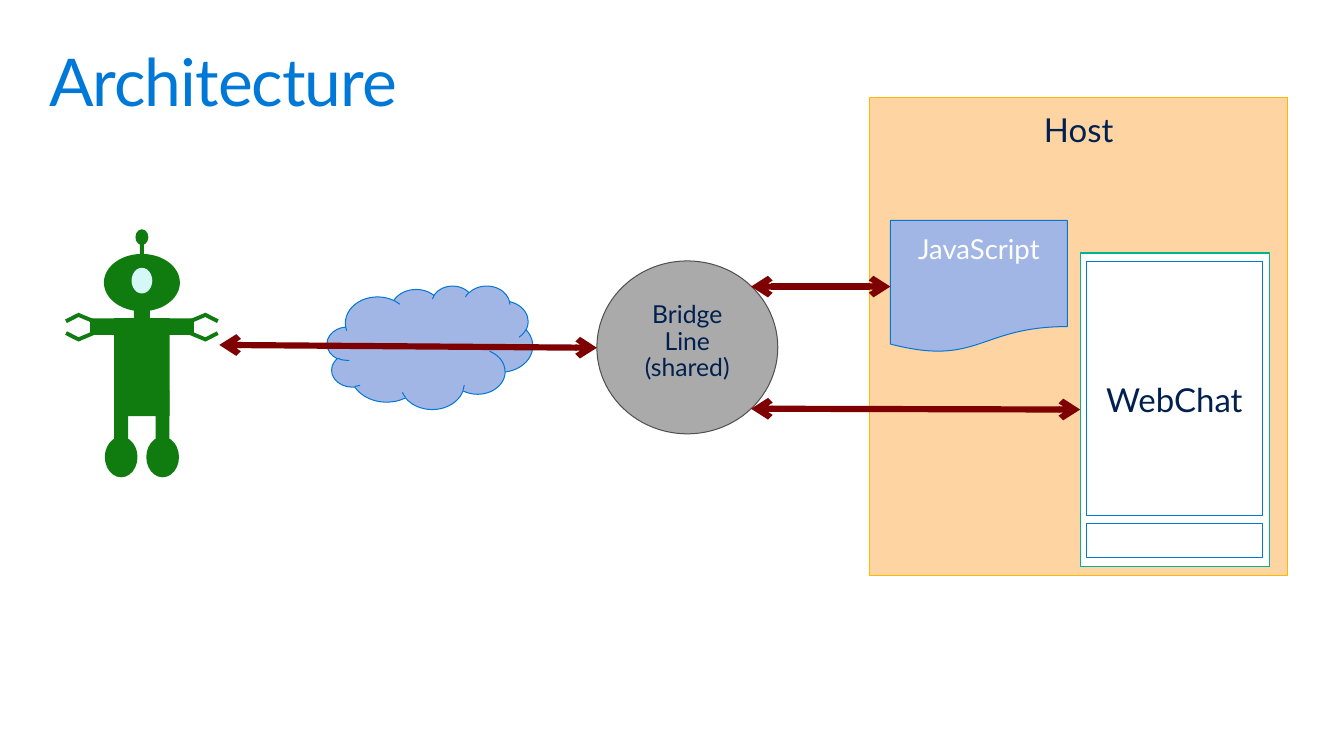
from lxml import etree
from pptx import Presentation
from pptx.dml.color import RGBColor
from pptx.enum import shapes, text
from pptx.oxml import ns
from pptx.util import Pt

FONT = "Lato"
COLORS = {
    "title": "0078D7", "navy": "002050", "white": "FFFFFF",
    "host": "FED5A2", "host_line": "FEB900",
    "gray": "AAAAAA", "gray_line": "505050",
    "pale_blue": "A2B6E5", "blue": "0377D6", "teal": "00B294",
    "robot": "107C10", "eye": "D5F7F6", "arrow": "7E0000",
}
KIND = shapes.MSO_SHAPE


def color(name):
    return RGBColor.from_string(COLORS[name])


def style_paragraph(p, size, name):
    p.line_spacing = 0.9
    p.font.name = FONT
    p.font.size = Pt(size)
    p.font.color.rgb = color(name)


def add_shape(parent, kind, box, fill, line=None, weight=0.75):
    sp = parent.add_shape(kind, *map(Pt, box))
    sp.shadow.inherit = False
    sp.fill.solid()
    sp.fill.fore_color.rgb = color(fill)
    if line:
        sp.line.color.rgb = color(line)
        sp.line.width = Pt(weight)
    else:
        sp.line.fill.background()
    return sp


def add_label(sp, lines, size, name="navy", top=11.5):
    tf = sp.text_frame
    tf.word_wrap = True
    tf.vertical_anchor = text.MSO_ANCHOR.TOP
    tf.margin_left = tf.margin_right = Pt(14.4)
    tf.margin_top, tf.margin_bottom = Pt(top), Pt(11.5)
    tf.text = "\n".join(lines)
    for p in tf.paragraphs:
        p.alignment = text.PP_ALIGN.CENTER
        style_paragraph(p, size, name)


def add_arrow(parent, x1, y1, x2, y2):
    cx = parent.add_connector(shapes.MSO_CONNECTOR.STRAIGHT,
                              Pt(x1), Pt(y1), Pt(x2), Pt(y2))
    cx.line.color.rgb = color("arrow")
    cx.line.width = Pt(4.5)
    ln = cx.line._get_or_add_ln()
    for end in ("a:headEnd", "a:tailEnd"):
        etree.SubElement(ln, ns.qn(end), type="arrow")
    etree.SubElement(cx._element.spPr, ns.qn("a:effectLst"))


def add_title(s, words):
    sp = s.shapes.title
    sp.left, sp.top, sp.width, sp.height = map(Pt, (28.8, 28.8, 921.6, 72))
    tf = sp.text_frame
    tf.vertical_anchor = text.MSO_ANCHOR.TOP
    tf.margin_left = tf.margin_right = tf.margin_top = tf.margin_bottom = Pt(7.2)
    tf.text = words
    p = tf.paragraphs[0]
    p.alignment = text.PP_ALIGN.LEFT
    style_paragraph(p, 48, "title")
    p.runs[0]._r.get_or_add_rPr().set("spc", "-70")


def add_robot(s, axis):
    parts = s.shapes.add_group_shape().shapes

    def part(kind, dx, y, w, h, angle=0, fill="robot"):
        sp = add_shape(parts, kind, (axis + dx - w / 2, y - h / 2, w, h), fill)
        sp.rotation = angle % 360

    # Head, antenna, neck and body lie on the axis
    part(KIND.OVAL, 0, 205.9, 55.4, 41.8)
    part(KIND.OVAL, 0, 172.8, 9.4, 11.5)
    part(KIND.RECTANGLE, 0, 182.2, 2.9, 15.1)
    part(KIND.RECTANGLE, 0, 232.6, 11.5, 37.4)
    part(KIND.RECTANGLE, 0, 267.5, 40.3, 71.3)
    part(KIND.OVAL, 0, 204.5, 15.1, 18.7, fill="eye")

    # Limbs mirror each other; each claw has an upper and a lower finger
    for side in (-1, 1):
        part(KIND.RECTANGLE, side * 22.7, 238, 30.2, 12.2)
        part(KIND.RECTANGLE, side * 15.1, 303.1, 10.1, 37.4)
        part(KIND.OVAL, side * 15.1, 333, 23.8, 29.5)
        for half in (-1, 1):
            y = 238.4 + half * 6.6
            part(KIND.RECTANGLE, side * 40.7, y, 13.7, 2.9, side * half * 22.7)
            part(KIND.RECTANGLE, side * 50.8, y, 10.1, 2.9, -side * half * 27.2)


def add_web_chat(s):
    parts = s.shapes.add_group_shape().shapes
    add_shape(parts, KIND.RECTANGLE, (787, 184.3, 138.2, 228.2), "white", "teal", 0.85)
    chat = add_shape(parts, KIND.RECTANGLE, (791.5, 190.8, 128.2, 185), "white", "blue", 0.85)
    add_label(chat, ["WebChat"], 24, top=89)
    add_shape(parts, KIND.RECTANGLE, (791.5, 381.6, 128.2, 24.5), "white", "blue", 0.85)


def main():
    prs = Presentation()
    prs.slide_width, prs.slide_height = Pt(979.2), Pt(550.8)
    s = prs.slides.add_slide(prs.slide_layouts[5])

    # Host panel and title
    host = add_shape(s.shapes, KIND.RECTANGLE, (633.6, 71.3, 304.6, 347.8),
                     "host", "host_line")
    add_label(host, ["Host"], 24)
    add_title(s, "Architecture")

    # Shared service, chat window, network and bot
    service = add_shape(s.shapes, KIND.OVAL, (434.9, 190.1, 131.8, 126),
                        "gray", "gray_line")
    add_label(service, ["Bridge", "Line", "(shared)"], 18)
    add_web_chat(s)
    add_shape(s.shapes, KIND.CLOUD, (238.3, 208.1, 149.8, 90), "pale_blue", "blue")
    add_robot(s, 103.4)

    # Script and two-way links
    add_arrow(s.shapes, 159.8, 251.3, 434.9, 253.4)
    script = add_shape(s.shapes, KIND.FLOWCHART_DOCUMENT, (648.7, 160.6, 128.9, 96.5),
                       "pale_blue", "blue")
    add_label(script, ["JavaScript"], 20, "white")
    add_arrow(s.shapes, 547.2, 297.8, 787, 298.4)
    add_arrow(s.shapes, 547.2, 208.8, 648.7, 208.8)

    prs.save("out.pptx")


main()
